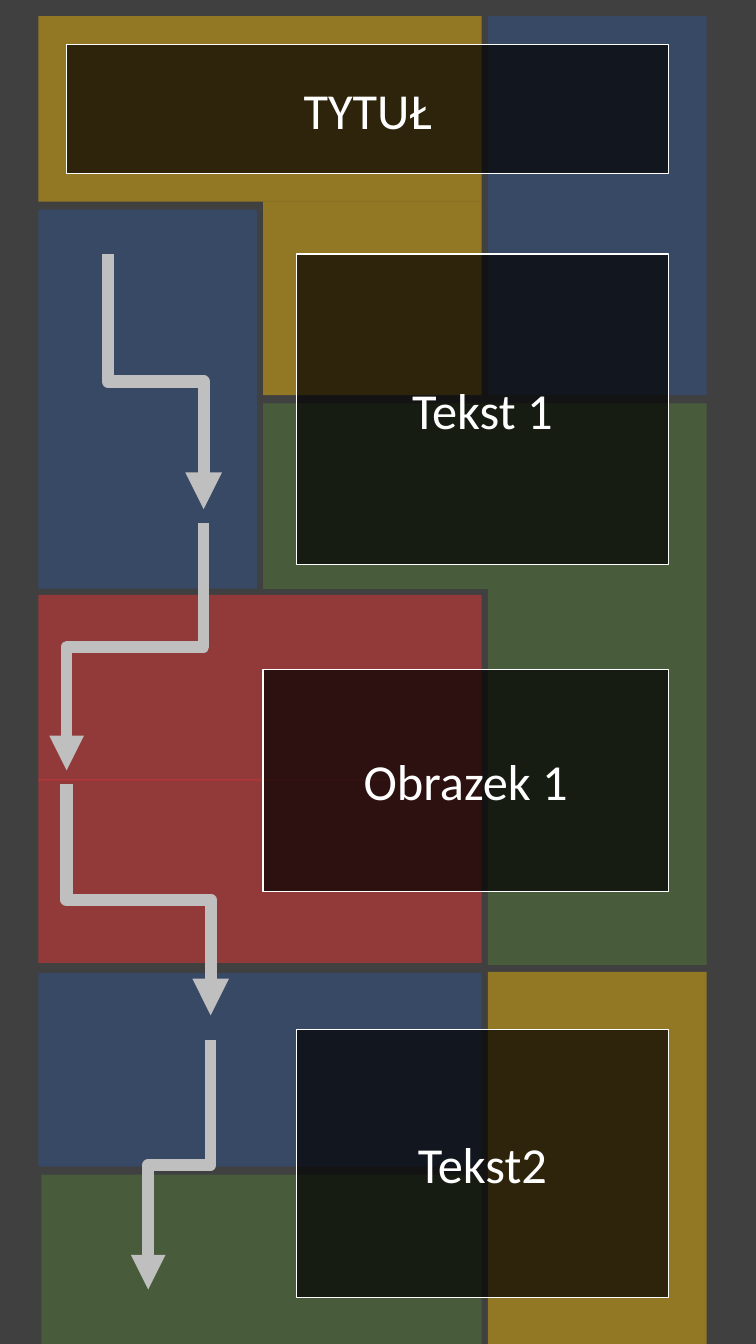
from pptx import Presentation
from pptx.dml.color import RGBColor
from pptx.enum.shapes import MSO_CONNECTOR as CONN, MSO_SHAPE as SHAPE
from pptx.enum.text import MSO_ANCHOR as ANCHOR, PP_ALIGN as ALIGN
from pptx.oxml.ns import qn
from pptx.util import Inches, Pt
from lxml.etree import SubElement

# Theme
THEME = {
    "back": "404040", "gold": "FFC000", "blue": "2F5597", "green": "548235",
    "red": "FF3333", "box": "000000", "text": "FFFFFF", "arrow": "BFBFBF",
    "font": "Calibri", "size": Pt(36), "outline": Pt(1),
    "panel_alpha": 43, "box_alpha": 69,
}

# Content: panels are (colour, column, columns spanned, top, height, left inset)
PANELS = [
    ("gold", 0, 2, 0.16, 1.84, 0),
    ("blue", 0, 1, 2.08, 3.76, 0),
    ("green", 1, 2, 4.00, 1.84, 0),
    ("red", 0, 2, 5.90, 1.84, 0),
    ("blue", 2, 1, 0.16, 3.76, 0),
    ("gold", 1, 1, 2.00, 1.92, 0),
    ("green", 2, 1, 5.84, 3.73, 0),
    ("red", 0, 2, 7.73, 1.82, 0),
    ("blue", 0, 2, 9.65, 1.92, 0),
    ("gold", 2, 1, 9.64, 3.69, 0),
    ("green", 0, 2, 11.65, 1.68, 0.03),
]
TITLE = ("TYTUŁ", 0.66, 0.44, 1.28)
BOXES = [  # text, left, top, height
    ("Tekst 1", 2.94, 2.52, 3.08),
    ("Obrazek 1", 2.61, 6.64, 2.20),
    ("Tekst2", 2.94, 10.21, 2.66),
]
ARROWS = [  # start x, start y, end x, end y, line width
    (1.07, 2.52, 2.02, 5.05, 8.75),
    (2.02, 5.19, 0.66, 7.64, 8.25),
    (0.66, 7.78, 2.09, 10.07, 8.75),
    (2.09, 10.32, 1.47, 12.79, 8.25),
]

# Grid
LEFT, COL_W, GAP = 0.38, 2.17, 0.06
BOX_RIGHT = 6.63


def rgb(name):
    return RGBColor.from_string(THEME[name])


def set_fill(sp, colour, alpha):
    sp.fill.solid()
    sp.fill.fore_color.rgb = rgb(colour)
    clr = sp._element.spPr.find(qn("a:solidFill"))[0]
    SubElement(clr, qn("a:alpha"), val=str(alpha * 1000))


def add_rect(s, x, y, w, h):
    sp = s.shapes.add_shape(SHAPE.RECTANGLE, *map(Inches, (x, y, w, h)))
    sp.shadow.inherit = False
    return sp


def add_panel(s, colour, col, span, y, h, inset):
    x = LEFT + col * (COL_W + GAP) + inset
    w = span * COL_W + (span - 1) * GAP - inset
    sp = add_rect(s, x, y, w, h)
    set_fill(sp, colour, THEME["panel_alpha"])
    sp.line.fill.background()


def format_box(sp, text):
    set_fill(sp, "box", THEME["box_alpha"])
    sp.line.color.rgb = rgb("text")
    sp.line.width = THEME["outline"]
    tf = sp.text_frame
    tf.word_wrap = True
    tf.vertical_anchor = ANCHOR.MIDDLE
    p = tf.paragraphs[0]
    p.alignment = ALIGN.CENTER
    r = p.add_run()
    r.text = text
    for key, value in {"name": THEME["font"], "size": THEME["size"]}.items():
        setattr(r.font, key, value)
    r.font.color.rgb = rgb("text")


def add_arrow(s, x1, y1, x2, y2, width):
    # An elbow starts sideways, so lay it flat around its centre, then turn it
    cx, cy = (x1 + x2) / 2, (y1 + y2) / 2
    dx, dy = abs(x2 - x1) / 2, abs(y2 - y1) / 2
    ends = map(Inches, (cx - dy, cy - dx, cx + dy, cy + dx))
    c = s.shapes.add_connector(CONN.ELBOW, *ends)
    c.line.color.rgb = rgb("arrow")
    c.line.width = Pt(width)
    spPr = c._element.spPr
    turn = {"rot": "16200000", "flipH": "1"} if x2 > x1 else {"rot": "5400000"}
    for key, value in turn.items():
        spPr.xfrm.set(key, value)
    SubElement(spPr.find(qn("a:ln")), qn("a:tailEnd"), type="triangle")
    SubElement(spPr, qn("a:effectLst"))


# Slide
prs = Presentation()
prs.slide_width, prs.slide_height = Inches(7.5), Inches(13.33)
s = prs.slides.add_slide(prs.slide_layouts[5])
s.background.fill.solid()
s.background.fill.fore_color.rgb = rgb("back")

# Coloured panels
for panel in PANELS:
    add_panel(s, *panel)

# Title, raised above the panels
text, x, y, h = TITLE
title = s.shapes.title
place = {"left": x, "top": y, "width": BOX_RIGHT - x, "height": h}
for key, value in place.items():
    setattr(title, key, Inches(value))
title._element.getparent().append(title._element)
format_box(title, text)

# Text boxes
for text, x, y, h in BOXES:
    format_box(add_rect(s, x, y, BOX_RIGHT - x, h), text)

# Reading path
for arrow in ARROWS:
    add_arrow(s, *arrow)

prs.save("out.pptx")
